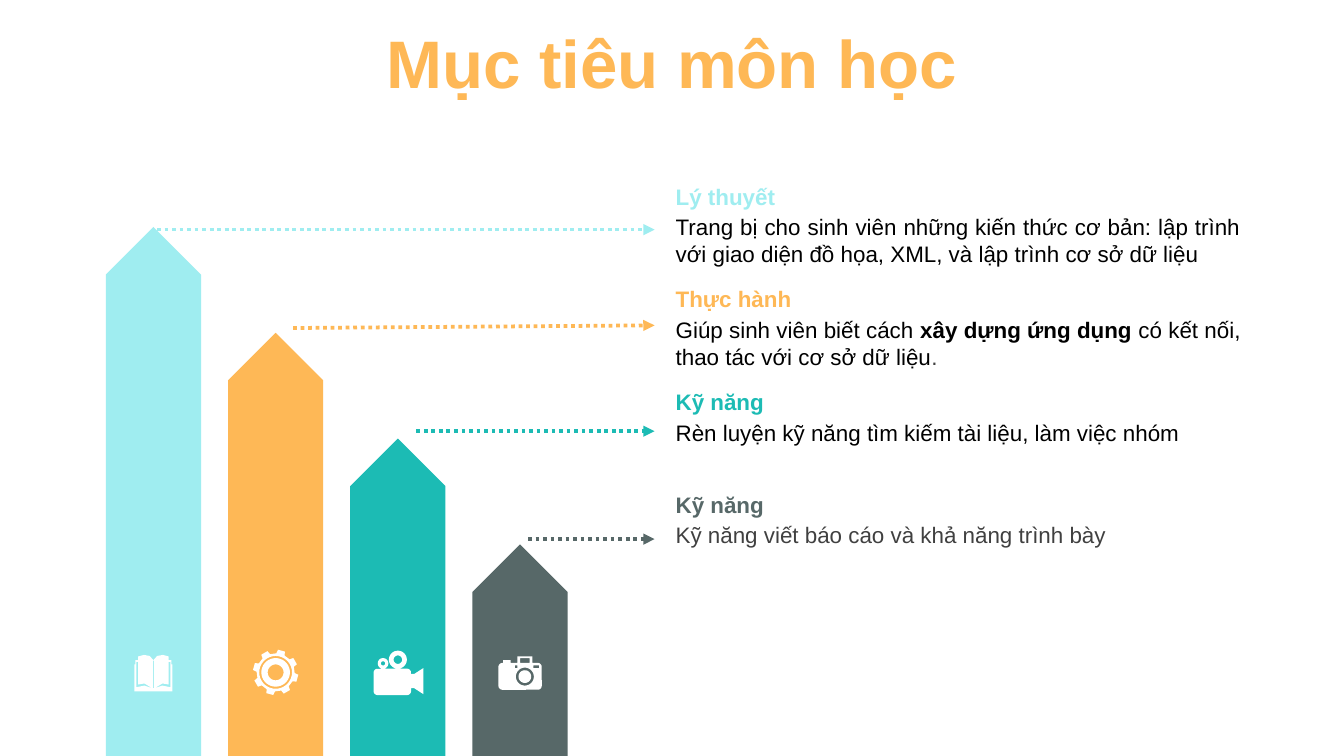
"""Build the course objectives slide with four arrow bars and their notes."""
from dataclasses import dataclass
from math import cos, pi, sin

from lxml.etree import SubElement
from pptx import Presentation
from pptx.dml.color import RGBColor as Rgb
from pptx.enum.dml import MSO_LINE_DASH_STYLE as Dash
from pptx.enum.shapes import MSO_CONNECTOR as Link, MSO_SHAPE as Preset
from pptx.enum.text import MSO_ANCHOR as Anchor, MSO_AUTO_SIZE as Fit, PP_ALIGN as Align
from pptx.oxml.ns import qn
from pptx.util import Cm, Pt


@dataclass(frozen=True)
class Theme:
    """Colours, font and type sizes of the slide."""
    font: str = "Arial"
    title_size: int = 36
    text_size: int = 12
    ice: str = "9FEDF0"
    amber: str = "FEB856"
    teal: str = "1CBBB4"
    slate: str = "576868"
    ink: str = "000000"
    soft_ink: str = "404040"
    icon: str = "FFFFFF"


@dataclass(frozen=True)
class Objective:
    """One bar with its arrow, heading and note runs."""
    color: str
    heading: str
    runs: list
    icon: list
    arrow_start: tuple
    arrow_end_y: float
    align: Align = Align.LEFT


THEME = Theme()
SLIDE_W, SLIDE_H = 25.4, 14.29
BAR_W, BAR_PITCH, FIRST_BAR_X = 1.8, 2.31, 2.9
TALLEST_BAR, BAR_STEP = 10, 2
ICON_Y = 12.71
ARROW_END_X = 12.37
NOTE_X, NOTE_W, NOTE_PITCH = 12.52, 11.18, 1.94
HEADING_Y, NOTE_Y = 3.33, 3.91


def arc(x, y, radius, start=0, sweep=2 * pi, steps=36):
    """Return points along a circular arc."""
    angles = [start + sweep * step / steps for step in range(steps)]
    return [(x + radius * cos(a), y + radius * sin(a)) for a in angles]


def box(left, top, right, bottom):
    """Return the corners of a rectangle."""
    return [(left, top), (right, top), (right, bottom), (left, bottom)]


def round_box(left, top, right, bottom, radius=0.08):
    """Return the outline of a rectangle with rounded corners."""
    corners = box(left + radius, top + radius, right - radius, bottom - radius)
    return [point for turn, (x, y) in enumerate(corners)
            for point in arc(x, y, radius, pi + turn * pi / 2, pi / 2, 8)]


def mirror(points):
    """Return the points flipped about the vertical axis."""
    return [(-x, y) for x, y in reversed(points)]


def book_icon():
    """Return the contours of an open book."""
    cover = [(0, -0.23), (0.07, -0.31), (0.18, -0.33), (0.29, -0.3), (0.29, -0.23),
             (0.34, -0.23), (0.34, -0.15), (0.36, -0.15), (0.36, 0.36)]
    page_edge = [(0.29, -0.2), (0.32, -0.2), (0.32, 0.28), (0.17, 0.25),
                 (0.02, 0.3), (0.17, 0.21), (0.29, 0.23)]
    spine = box(-0.01, -0.22, 0.01, 0.3)
    return [cover + mirror(cover), spine, page_edge, mirror(page_edge)]


def gear_icon():
    """Return the contours of an eight-toothed gear."""
    tooth = [(-13, 0.36), (-9, 0.43), (9, 0.43), (13, 0.36)]
    rim = [(radius * cos(a), radius * sin(a)) for turn in range(8)
           for offset, radius in tooth
           for a in [(45 * turn - 75 + offset) * pi / 180]]
    return [rim] + [arc(0, 0, radius) for radius in (0.31, 0.27, 0.15)]


def film_icon():
    """Return the contours of a film camera."""
    reels = [arc(x, y, radius) for x, y, radius in
             [(0, -0.24, 0.17), (0, -0.24, 0.08), (-0.28, -0.17, 0.1), (-0.28, -0.17, 0.04)]]
    lens = [(0.25, 0.03), (0.31, 0.03), (0.48, -0.08),
            (0.48, 0.41), (0.31, 0.3), (0.25, 0.3)]
    return reels + [round_box(-0.46, -0.07, 0.25, 0.43), lens]


def photo_icon():
    """Return the contours of a photo camera."""
    details = [(-0.1, -0.13, -0.05, -0.08), (0.25, -0.13, 0.36, -0.08),
               (-0.05, -0.3, 0.23, -0.18), (0, -0.27, 0.18, -0.18),
               (-0.32, -0.23, -0.18, -0.18)]
    lens = [arc(0.09, 0.08, radius) for radius in (0.17, 0.12)]
    return [round_box(-0.41, -0.18, 0.41, 0.33)] + lens + [box(*d) for d in details]


def paint(shape, color):
    """Give a shape a flat fill without line or shadow."""
    shape.shadow.inherit = False
    shape.fill.solid()
    shape.fill.fore_color.rgb = Rgb.from_string(color)
    shape.line.fill.background()


def add_bar(slide, center_x, height, color):
    """Add an upward arrow bar standing on the slide's bottom edge."""
    center_y = SLIDE_H - height / 2
    bar = slide.shapes.add_shape(Preset.PENTAGON, Cm(center_x - height / 2),
                                 Cm(center_y - BAR_W / 2), Cm(height), Cm(BAR_W))
    bar.rotation = 270
    paint(bar, color)


def add_icon(slide, center_x, contours):
    """Add an icon outlined by contours around its centre."""
    scaled = [[(x * 1000, y * 1000) for x, y in contour] for contour in contours]
    builder = slide.shapes.build_freeform(*scaled[0][0], scale=Cm(0.001))
    builder.add_line_segments(scaled[0][1:])
    for contour in scaled[1:]:
        builder.move_to(*contour[0])
        builder.add_line_segments(contour[1:])
    paint(builder.convert_to_shape(Cm(center_x), Cm(ICON_Y)), THEME.icon)


def add_text(slide, frame, runs, size, align=Align.LEFT, anchor=Anchor.TOP, fit=Fit.NONE):
    """Add a text box from runs of wording, colour and boldness."""
    holder = slide.shapes.add_textbox(*[Cm(length) for length in frame]).text_frame
    holder.word_wrap = True
    holder.auto_size = fit
    holder.vertical_anchor = anchor
    paragraph = holder.paragraphs[0]
    paragraph.alignment = align
    for wording, color, bold in runs:
        run = paragraph.add_run()
        run.text = wording
        run.font.name = THEME.font
        run.font.size = Pt(size)
        run.font.bold = bold
        run.font.color.rgb = Rgb.from_string(color)


def add_arrow(slide, start, end, color):
    """Add a dotted arrow."""
    arrow = slide.shapes.add_connector(Link.STRAIGHT, *[Cm(v) for v in (*start, *end)])
    arrow.line.color.rgb = Rgb.from_string(color)
    arrow.line.width = Pt(2)
    arrow.line.dash_style = Dash.ROUND_DOT
    properties = arrow._element.spPr
    SubElement(properties.find(qn("a:ln")), qn("a:tailEnd"), type="triangle")
    SubElement(properties, qn("a:effectLst"))


def add_objective(slide, index, objective):
    """Add one bar, its icon, its note and the arrow between them."""
    center_x = FIRST_BAR_X + index * BAR_PITCH
    add_bar(slide, center_x, TALLEST_BAR - index * BAR_STEP, objective.color)
    add_icon(slide, center_x, objective.icon)
    shift = index * NOTE_PITCH
    note_height = 1.27 if objective.align == Align.JUSTIFY else 0.77
    add_text(slide, (NOTE_X, NOTE_Y + shift, NOTE_W, note_height), objective.runs,
             THEME.text_size, objective.align, fit=Fit.SHAPE_TO_FIT_TEXT)
    add_text(slide, (NOTE_X, HEADING_Y + shift, NOTE_W, 0.77),
             [(objective.heading, objective.color, True)],
             THEME.text_size, fit=Fit.SHAPE_TO_FIT_TEXT)
    add_arrow(slide, objective.arrow_start, (ARROW_END_X, objective.arrow_end_y),
              objective.color)


def main():
    """Build and save the slide."""
    ink, soft = THEME.ink, THEME.soft_ink
    objectives = [
        Objective(THEME.ice, "Lý thuyết",
                  [("Trang bị cho sinh viên những kiến thức cơ bản: lập trình với giao diện "
                    "đồ họa, XML, và lập trình cơ sở dữ liệu", ink, False)],
                  book_icon(), (2.97, 4.34), 4.34, Align.JUSTIFY),
        Objective(THEME.amber, "Thực hành",
                  [("Giúp sinh viên biết cách ", ink, False), ("xây dựng ứng dụng", ink, True),
                   (" có kết nối, thao tác với cơ sở dữ liệu", ink, False), (".", soft, False)],
                  gear_icon(), (5.54, 6.2), 6.15, Align.JUSTIFY),
        Objective(THEME.teal, "Kỹ năng",
                  [("Rèn luyện kỹ năng tìm kiếm tài liệu, làm việc nhóm", ink, False)],
                  film_icon(), (7.87, 8.15), 8.15),
        Objective(THEME.slate, "Kỹ năng",
                  [("Kỹ năng viết báo cáo và khả năng trình bày", soft, False)],
                  photo_icon(), (9.98, 10.19), 10.19),
    ]
    deck = Presentation()
    deck.slide_width, deck.slide_height = Cm(SLIDE_W), Cm(SLIDE_H)
    slide = deck.slides.add_slide(deck.slide_layouts[6])
    add_text(slide, (0, 0.08, SLIDE_W, 2.16), [("Mục tiêu môn học", THEME.amber, True)],
             THEME.title_size, Align.CENTER, Anchor.MIDDLE)
    for index, objective in enumerate(objectives):
        add_objective(slide, index, objective)
    deck.save("out.pptx")


main()
